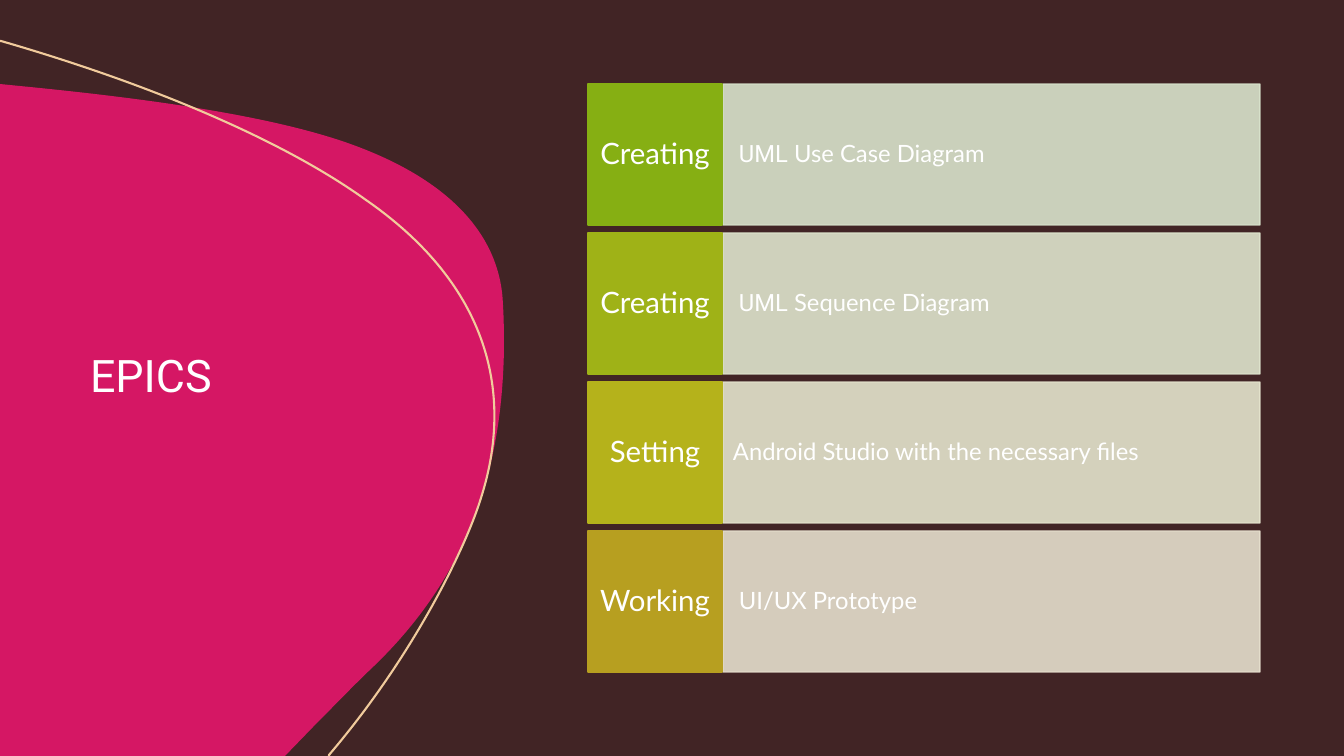
from dataclasses import dataclass

from lxml.etree import SubElement
from pptx import Presentation
from pptx.dml.color import RGBColor
from pptx.enum.shapes import MSO_SHAPE as Shape
from pptx.enum.text import MSO_ANCHOR as Anchor, PP_ALIGN as Align
from pptx.oxml.ns import qn
from pptx.util import Pt

PX = 12192000 / 1344

BACKGROUND = RGBColor(0x41, 0x24, 0x25)
PINK = RGBColor(0xD5, 0x17, 0x64)
CREAM = RGBColor(0xF1, 0xCB, 0x9C)
WHITE = RGBColor(0xFF, 0xFF, 0xFF)

Point = tuple[int, int]
Segment = tuple[Point, ...]


def px(n: int) -> int:
    return round(n * PX)


@dataclass(frozen=True)
class Run:
    text: str
    font: str = "Lato"


@dataclass(frozen=True)
class Epic:
    label: str
    task: tuple[Run, ...]
    label_fill: RGBColor
    task_fill: RGBColor


@dataclass(frozen=True)
class Outline:
    start: Point
    segments: tuple[Segment, ...]
    width: int
    closed: bool


EPICS = (
    Epic("Creating", (Run(" UML", "Roboto"), Run(" Use Case Diagram")),
         RGBColor(0x86, 0xAF, 0x13), RGBColor(0xD9, 0xE3, 0xCC)),
    Epic("Creating", (Run(" UML", "Roboto"), Run(" Sequence Diagram")),
         RGBColor(0x9F, 0xB2, 0x17), RGBColor(0xDF, 0xE4, 0xCD)),
    Epic("Setting", (Run("Android Studio with the necessary files"),),
         RGBColor(0xB5, 0xB2, 0x1B), RGBColor(0xE5, 0xE4, 0xCD)),
    Epic("Working", (Run(" ", "Roboto"), Run("UI/UX Prototype")),
         RGBColor(0xB7, 0x9F, 0x20), RGBColor(0xE6, 0xDF, 0xCD)),
)
ROW_TOP, ROW_STEP, ROW_HEIGHT = 84, 149, 141
LABEL_LEFT, LABEL_WIDTH = 588, 134
TASK_LEFT, TASK_WIDTH = 723, 537

BLOB = Outline((504, 350), (
    ((502, 457), (476, 569), (372, 668)),
    ((353, 686), (334, 706), (316, 724)),
    ((285, 756),),
    ((0, 756),),
    ((0, 84),),
    ((30, 87),),
    ((150, 99), (264, 115), (342, 141)),
    ((463, 182), (501, 246), (503, 304)),
    ((504, 320), (504, 335), (504, 350)),
), 504, True)
ARC = Outline((0, 41), (
    ((1, 41),),
    ((153, 85), (284, 141), (366, 200)),
    ((490, 286), (514, 395), (481, 498)),
    ((467, 544), (416, 653), (329, 755)),
    ((329, 756),),
), 495, False)


def add_outline(s, outline: Outline):
    points = [(px(x), px(y)) for segment in outline.segments for x, y in segment]
    builder = s.shapes.build_freeform(px(outline.start[0]), px(outline.start[1]))
    builder.add_line_segments(points, close=outline.closed)
    sp = builder.convert_to_shape()
    sp.shadow.inherit = False
    path = next(sp._element.iter(qn("a:path")))
    lines = iter(path.findall(qn("a:lnTo")))
    for segment in outline.segments:
        first, *rest = [next(lines) for _ in segment]
        if rest:
            curve = SubElement(path, qn("a:cubicBezTo"))
            path.replace(first, curve)
            for line in (first, *rest):
                curve.append(line[0])
            for line in rest:
                path.remove(line)
    sp.width = px(outline.width)
    path.set("w", str(px(outline.width)))
    return sp


def set_text(sp, runs: tuple[Run, ...], size: int, align: Align, inset: Point) -> None:
    tf = sp.text_frame
    tf.word_wrap = True
    tf.vertical_anchor = Anchor.MIDDLE
    tf.margin_left = tf.margin_right = px(inset[0])
    tf.margin_top = tf.margin_bottom = px(inset[1])
    p = tf.paragraphs[0]
    p.alignment = align
    p.line_spacing = 0.9
    for run in runs:
        r = p.add_run()
        r.text = run.text
        r.font.name = run.font
        r.font.size = Pt(size)
        r.font.color.rgb = WHITE


def add_box(s, left: int, top: int, width: int, color: RGBColor, opacity: int = 100):
    sp = s.shapes.add_shape(Shape.RECTANGLE, px(left), px(top), px(width), px(ROW_HEIGHT))
    sp.shadow.inherit = False
    sp.fill.solid()
    sp.fill.fore_color.rgb = color
    sp.line.color.rgb = color
    sp.line.width = Pt(1)
    if opacity < 100:
        for clr in sp._element.spPr.iter(qn("a:srgbClr")):
            SubElement(clr, qn("a:alpha"), val=str(opacity * 1000))
    return sp


def add_epic(s, epic: Epic, top: int) -> None:
    task = add_box(s, TASK_LEFT, top, TASK_WIDTH, epic.task_fill, 90)
    set_text(task, epic.task, 17, Align.LEFT, (10, 35))
    label = add_box(s, LABEL_LEFT, top, LABEL_WIDTH, epic.label_fill)
    set_text(label, (Run(epic.label),), 21, Align.CENTER, (7, 14))


def main() -> None:
    prs = Presentation()
    prs.slide_width, prs.slide_height = px(1344), px(756)
    s = prs.slides.add_slide(prs.slide_layouts[6])
    s.background.fill.solid()
    s.background.fill.fore_color.rgb = BACKGROUND

    blob = add_outline(s, BLOB)
    blob.fill.solid()
    blob.fill.fore_color.rgb = PINK
    blob.line.fill.background()

    arc = add_outline(s, ARC)
    arc.fill.background()
    arc.line.color.rgb = CREAM
    arc.line.width = Pt(1.5)

    title = s.shapes.add_textbox(px(80), px(252), px(336), px(252))
    set_text(title, (Run("EPICS", "Roboto"),), 32, Align.LEFT, (10, 5))

    for i, epic in enumerate(EPICS):
        add_epic(s, epic, ROW_TOP + i * ROW_STEP)

    prs.save("out.pptx")


if __name__ == "__main__":
    main()
